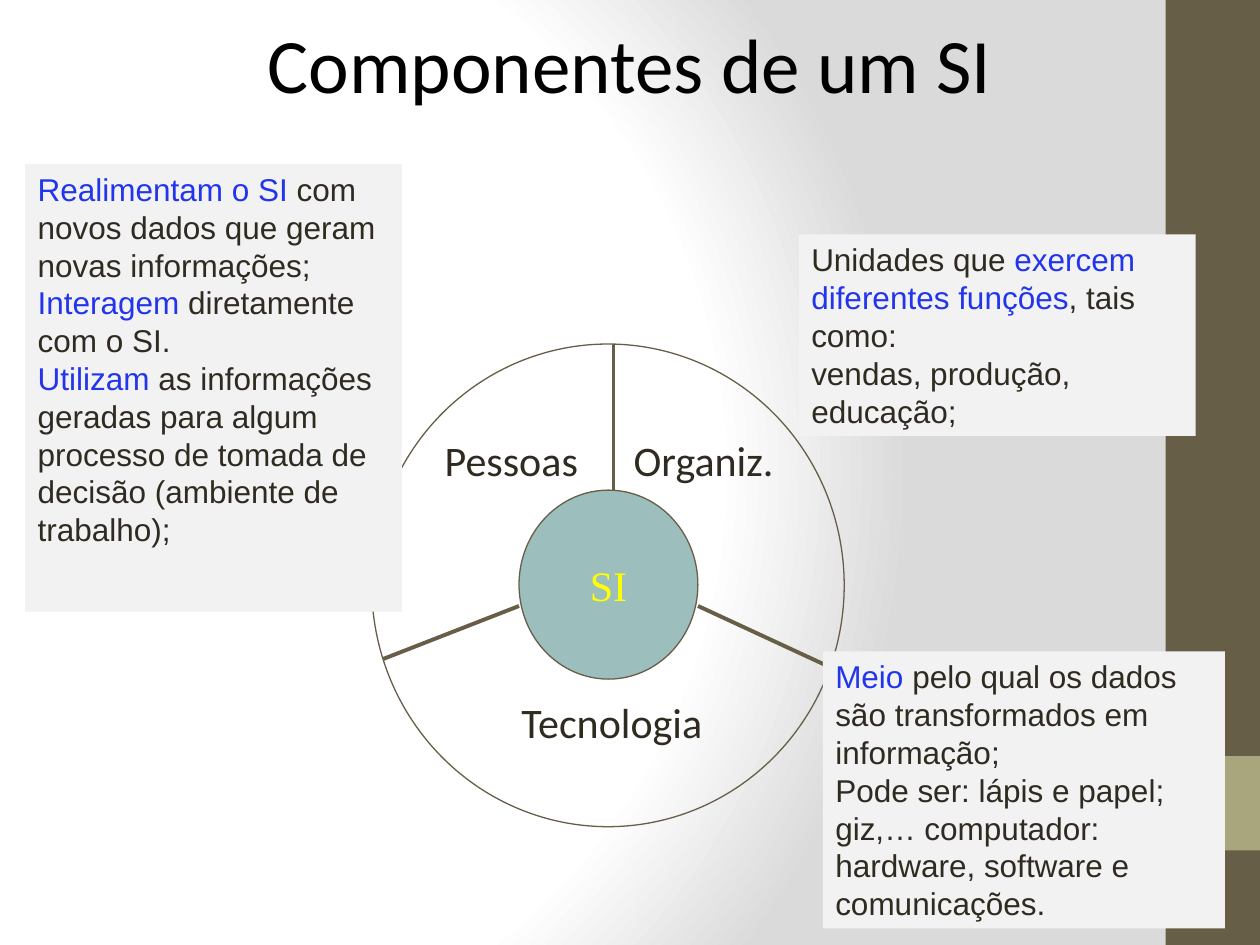
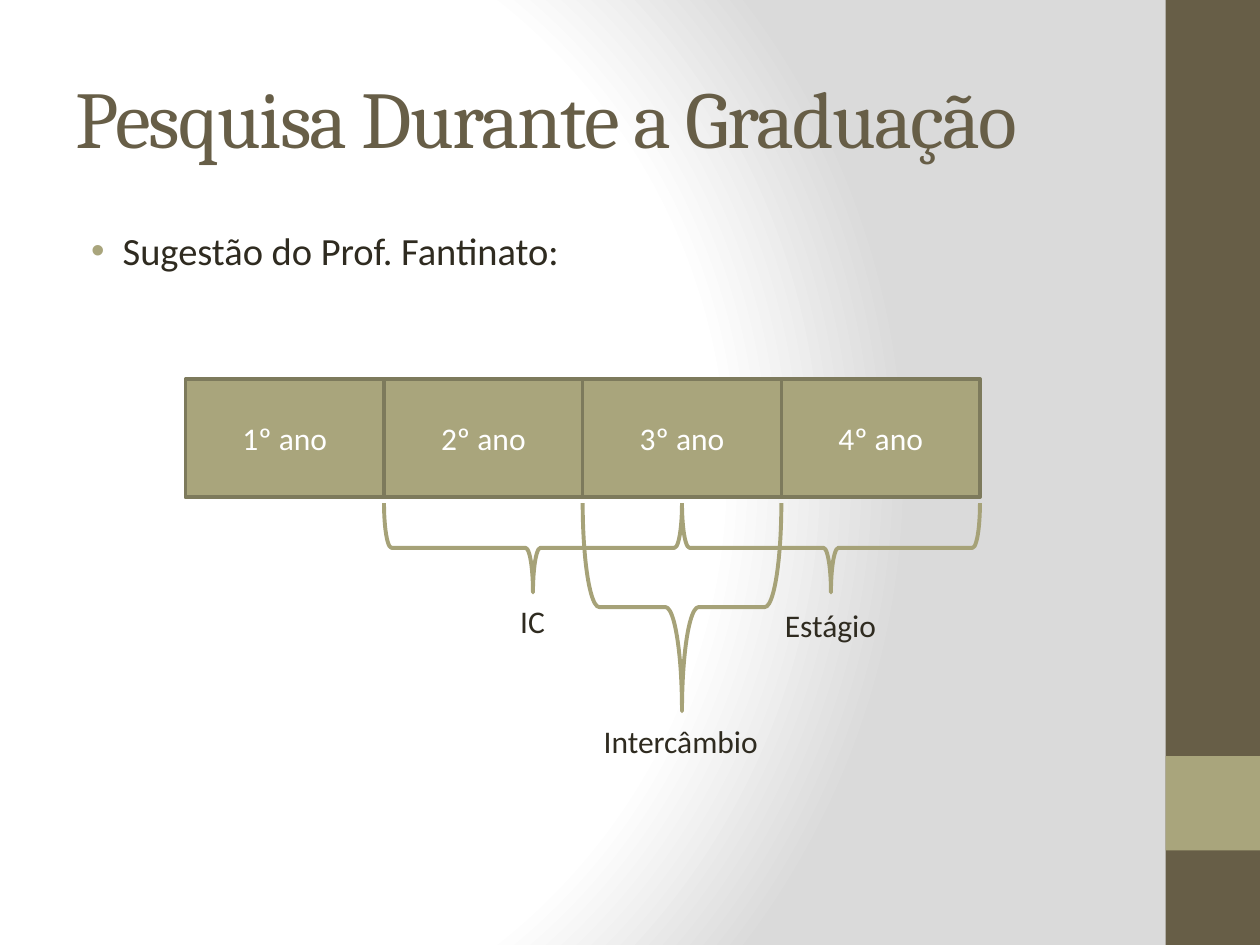
from pptx import Presentation
from pptx.dml.color import RGBColor
from pptx.enum.shapes import MSO_CONNECTOR, MSO_SHAPE
from pptx.enum.text import MSO_ANCHOR, MSO_AUTO_SIZE, PP_ALIGN
from pptx.oxml import parse_xml
from pptx.oxml.ns import nsdecls, qn
from pptx.util import Pt
from lxml import etree

COLORS = {
    "brown": "675E47", "olive": "A9A57C", "olive_edge": "7D7A5C", "brace": "A6A278",
    "teal": "9CBEBD", "panel": "F2F2F2", "ink": "2F2B20", "blue": "2235EC",
    "yellow": "FFFF00", "white": "FFFFFF", "black": "000000", "shade": "DADADA",
}

BANDS = [((666, 0, 54, 540), "brown"), ((666, 432, 54, 54), "olive")]

TITLE_SI = "Componentes de um SI"
RING = (212.4, 196.6, 270, 275.8)
CORE = (296.6, 280.1, 102.2, 108)
SPOKES = [
    (350.6, 196.6, 350.6, 280.1),
    (296.6, 346.3, 218.9, 376.6),
    (398.9, 346.3, 476.6, 382.3),
]
SECTORS = [
    ("Pessoas", (247, 244.8, 101.5, 36)),
    ("Organiz.", (355, 244.8, 113.8, 36)),
    ("Tecnologia", (290.9, 394.6, 134.6, 36)),
]
PANELS = [
    ((14.4, 93.6, 215.3, 256), [
        [("Realimentam o SI", "blue"),
         (" com novos dados que geram novas informações;", "ink")],
        [("Interagem ", "blue"), ("diretamente com o SI.", "ink")],
        [("Utilizam", "blue"),
         (" as informações geradas para algum processo de tomada de decisão "
          "(ambiente de trabalho);", "ink")],
    ]),
    ((456.5, 133.9, 226.8, 115.2), [
        [("Unidades que ", "ink"), ("exercem diferentes funções", "blue"),
         (", tais como: ", "ink")],
        [("vendas, produção, educação;", "ink")],
    ]),
    ((470.2, 372.2, 229.7, 158.4), [
        [("Meio ", "blue"), ("pelo qual os dados são transformados em informação;", "ink")],
        [("Pode ser: lápis e papel; giz,… computador: hardware, software e "
          "comunicações.", "ink")],
    ]),
]

TITLE_RESEARCH = "Pesquisa Durante a Graduação"
BULLET = "Sugestão do Prof. Fantinato:"
YEARS = ["1º ano", "2º ano", "3º ano", "4º ano"]
YEAR_LEFT, YEAR_TOP, YEAR_W, YEAR_H = 106, 216.5, 113.5, 67.7
BRACE_TOP = 287.5
PERIODS = [
    ("IC", 1, 2.5, 51, 340.6, 28.8),
    ("Estágio", 2.5, 4, 51, 342.7, 67),
    ("Intercâmbio", 2, 3, 118.8, 409, 103.7),
]


def rgb(name):
    return RGBColor.from_string(COLORS[name])


def write(tf, paragraphs, size, font, align=PP_ALIGN.LEFT,
          anchor=MSO_ANCHOR.TOP, wrap=True):
    tf.auto_size = MSO_AUTO_SIZE.NONE
    tf.word_wrap = wrap
    tf.vertical_anchor = anchor
    for i, runs in enumerate(paragraphs):
        p = tf.add_paragraph() if i else tf.paragraphs[0]
        p.alignment = align
        for text, color in runs:
            r = p.add_run()
            r.text = text
            r.font.size = Pt(size)
            r.font.name = font
            r.font.color.rgb = rgb(color)


def add_box(s, kind, box, fill=None, line=None, width=0.75):
    sp = s.shapes.add_shape(kind, *map(Pt, box))
    sp.shadow.inherit = False
    if fill:
        sp.fill.solid()
        sp.fill.fore_color.rgb = rgb(fill)
    else:
        sp.fill.background()
    if line:
        sp.line.color.rgb = rgb(line)
        sp.line.width = Pt(width)
    else:
        sp.line.fill.background()
    return sp


def add_label(s, text, box, size, wrap=False):
    sp = s.shapes.add_textbox(*map(Pt, box))
    write(sp.text_frame, [[(text, "ink")]], size, "Calibri", wrap=wrap)
    return sp


def add_spoke(s, ends):
    c = s.shapes.add_connector(MSO_CONNECTOR.STRAIGHT, *map(Pt, ends))
    c.line.color.rgb = rgb("brown")
    c.line.width = Pt(2.25)
    etree.SubElement(c._element.spPr, qn("a:effectLst"))


def add_brace(s, left, top, width, depth):
    box = (left + (width - depth) / 2, top + (depth - width) / 2, depth, width)
    sp = add_box(s, MSO_SHAPE.LEFT_BRACE, box, line="brace", width=2.25)
    sp.rotation = 270


def set_title(s, text, box, size, font, color, align):
    sp = s.shapes.title
    sp.left, sp.top, sp.width, sp.height = map(Pt, box)
    write(sp.text_frame, [[(text, color)]], size, font, align, MSO_ANCHOR.MIDDLE)
    return sp


def style_master(prs, s):
    csld = prs.slide_master.element.cSld
    for old in csld.findall(qn("p:bg")):
        csld.remove(old)
    stops = "".join(
        f'<a:gs pos="{pos}000"><a:srgbClr val="{COLORS[c]}"/></a:gs>'
        for pos, c in [(0, "white"), (75, "white"), (100, "shade")])
    csld.insert(0, parse_xml(
        f'<p:bg {nsdecls("p", "a")}><p:bgPr><a:gradFill rotWithShape="1">'
        f'<a:gsLst>{stops}</a:gsLst><a:path path="circle">'
        '<a:fillToRect l="20000" t="50000" r="100000" b="50000"/></a:path>'
        '</a:gradFill><a:effectLst/></p:bgPr></p:bg>'))
    for i, (box, color) in enumerate(BANDS):
        band = add_box(s, MSO_SHAPE.RECTANGLE, box, color)._element
        band.nvSpPr.cNvPr.set("id", str(100 + i))
        csld.spTree.insert(2 + i, band)


def build_components(s):
    set_title(s, TITLE_SI, (0, 0, 720, 72), 44, "Calibri", "black", PP_ALIGN.CENTER)
    add_box(s, MSO_SHAPE.OVAL, RING, line="brown")
    core = add_box(s, MSO_SHAPE.OVAL, CORE, "teal", "brown")
    write(core.text_frame, [[("SI", "yellow")]], 24, "Times New Roman",
          PP_ALIGN.CENTER, MSO_ANCHOR.MIDDLE, wrap=False)
    for ends in SPOKES:
        add_spoke(s, ends)
    for text, box in SECTORS:
        add_label(s, text, box, 24)
    for box, paragraphs in PANELS:
        sp = add_box(s, MSO_SHAPE.RECTANGLE, box, "panel")
        write(sp.text_frame, paragraphs, 18, "Arial")


def build_research(s):
    title = set_title(s, TITLE_RESEARCH, (36, 21.6, 600, 90), 46, "Cambria", "brown",
                      PP_ALIGN.LEFT)
    title.text_frame.paragraphs[0].runs[0].font._element.set("spc", "-100")

    body = add_label(s, BULLET, (36, 126, 600, 378), 22, wrap=True)
    p = body.text_frame.paragraphs[0]
    p.space_before = Pt(4.4)
    pPr = p._p.get_or_add_pPr()
    pPr.set("marL", str(Pt(27)))
    pPr.set("indent", str(-Pt(18)))
    color = etree.SubElement(pPr, qn("a:buClr"))
    etree.SubElement(color, qn("a:srgbClr"), val=COLORS["olive"])
    etree.SubElement(pPr, qn("a:buFont"), typeface="Arial")
    etree.SubElement(pPr, qn("a:buChar"), char="•")

    for i, year in enumerate(YEARS):
        box = (YEAR_LEFT + i * YEAR_W, YEAR_TOP, YEAR_W, YEAR_H)
        sp = add_box(s, MSO_SHAPE.RECTANGLE, box, "olive", "olive_edge", 2)
        write(sp.text_frame, [[(year, "white")]], 18, "Calibri",
              PP_ALIGN.CENTER, MSO_ANCHOR.MIDDLE)
    for text, start, end, depth, label_top, label_w in PERIODS:
        left, width = YEAR_LEFT + start * YEAR_W, (end - start) * YEAR_W
        add_brace(s, left, BRACE_TOP, width, depth)
        add_label(s, text, (left + (width - label_w) / 2, label_top, label_w, 28.8), 18)


prs = Presentation()
prs.slide_width, prs.slide_height = Pt(720), Pt(540)
slides = [prs.slides.add_slide(prs.slide_layouts[5]) for _ in range(2)]
style_master(prs, slides[0])
build_components(slides[0])
build_research(slides[1])
prs.save("out.pptx")
